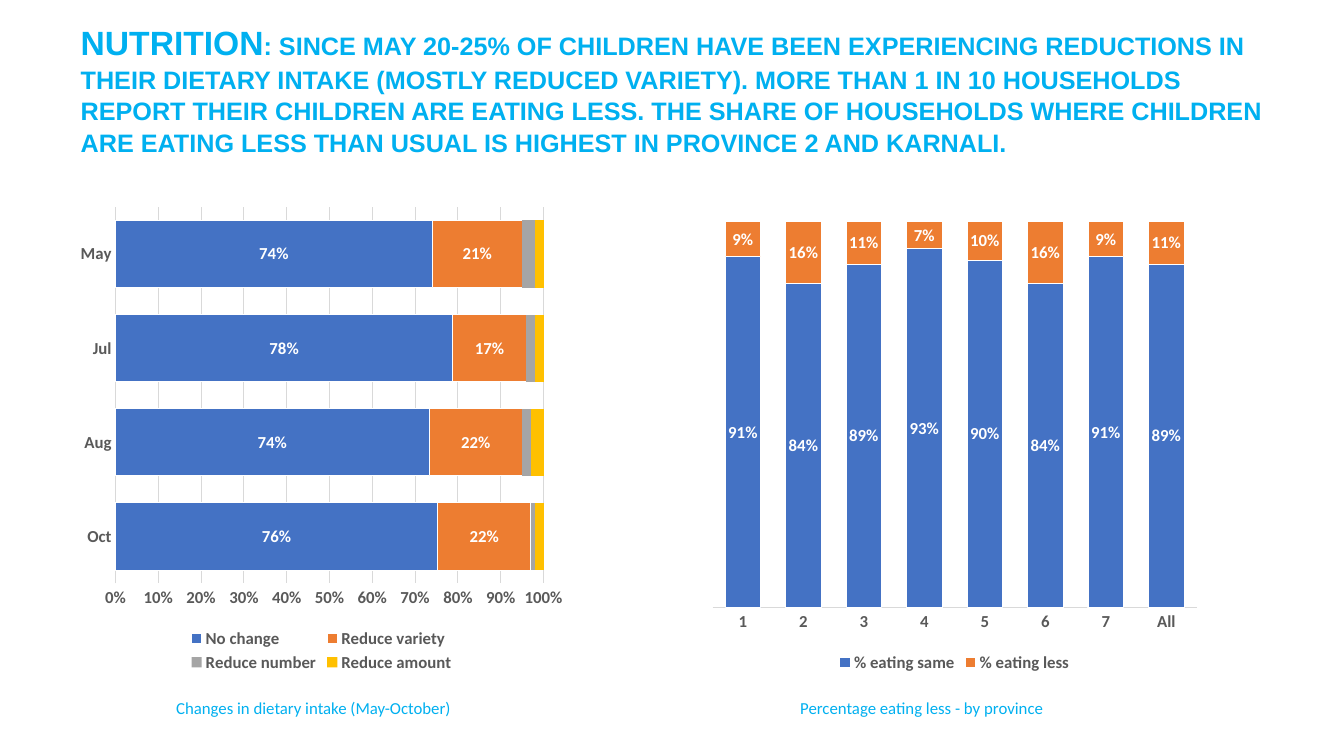
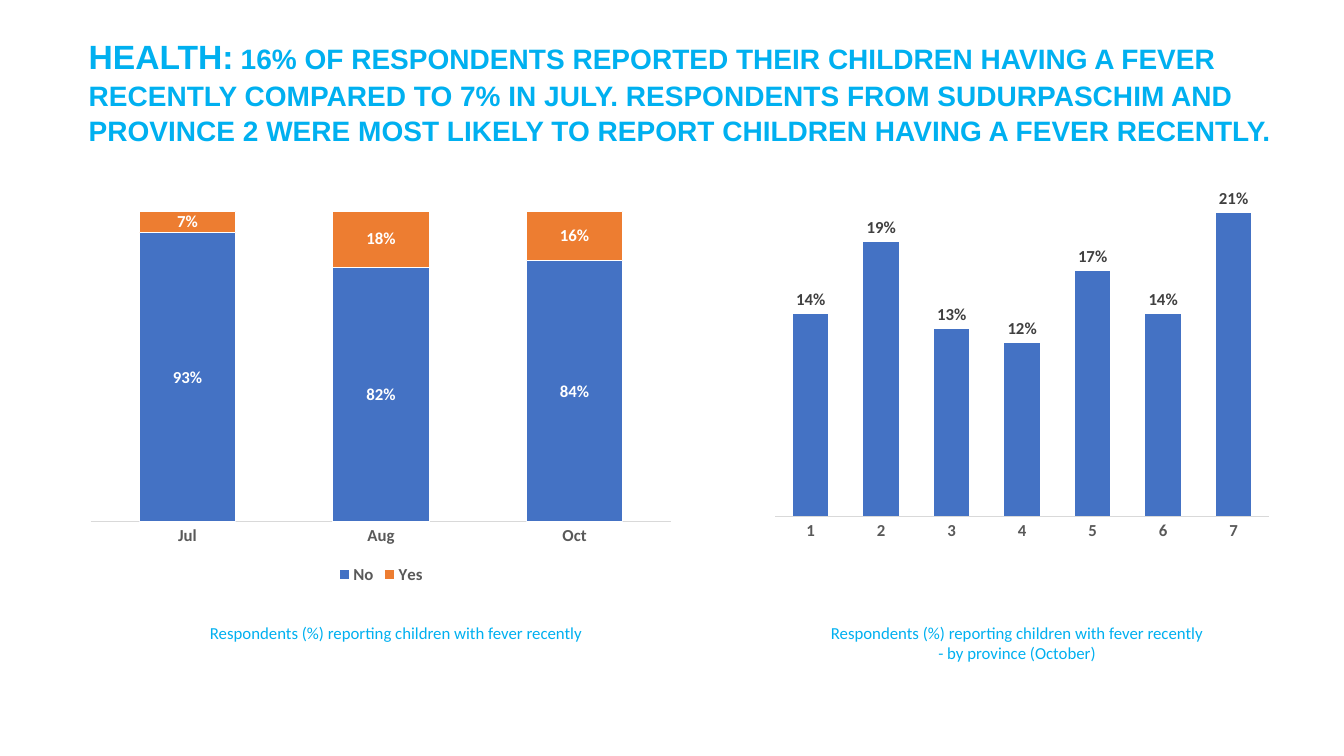
"""Build two slides on child nutrition and health, each with two charts."""
from pptx import Presentation
from pptx.chart.data import CategoryChartData
from pptx.dml.color import RGBColor
from pptx.enum.chart import XL_CHART_TYPE, XL_LABEL_POSITION, XL_LEGEND_POSITION, XL_TICK_MARK
from pptx.enum.text import MSO_ANCHOR, MSO_AUTO_SIZE, PP_ALIGN
from pptx.util import Inches, Pt

BAR = XL_CHART_TYPE.BAR_STACKED_100
STACK = XL_CHART_TYPE.COLUMN_STACKED_100
COLUMN = XL_CHART_TYPE.COLUMN_CLUSTERED
MIDDLE = XL_LABEL_POSITION.CENTER
ABOVE = XL_LABEL_POSITION.OUTSIDE_END
BOTTOM = XL_LEGEND_POSITION.BOTTOM
NO_TICK = XL_TICK_MARK.NONE
TOP = MSO_ANCHOR.TOP
GROW = MSO_AUTO_SIZE.SHAPE_TO_FIT_TEXT
LEFT, CENTER = PP_ALIGN.LEFT, PP_ALIGN.CENTER

SKY = RGBColor(0x00, 0xB0, 0xF0)
WHITE = RGBColor(0xFF, 0xFF, 0xFF)
RULE = RGBColor(0xD9, 0xD9, 0xD9)
GREY = RGBColor(0x59, 0x59, 0x59)
DARK = RGBColor(0x40, 0x40, 0x40)
FILLS = [
    RGBColor(0x44, 0x72, 0xC4),
    RGBColor(0xED, 0x7D, 0x31),
    RGBColor(0xA5, 0xA5, 0xA5),
    RGBColor(0xFF, 0xC0, 0x00),
]
PERCENT = "0%"
WIDE, HIGH = Inches(13.33), Inches(7.5)

SLIDES = [
    {
        "title": (5.25, 2, 91.15, 18.8),
        "runs": [
            ("NUTRITION", 24),
            (": SINCE MAY 20-25% OF CHILDREN HAVE BEEN EXPERIENCING REDUCTIONS IN "
             "THEIR DIETARY INTAKE (MOSTLY REDUCED VARIETY). MORE THAN 1 IN 10 HOUSEHOLDS "
             "REPORT THEIR CHILDREN ARE EATING LESS. THE SHARE OF HOUSEHOLDS WHERE CHILDREN "
             "ARE EATING LESS THAN USUAL IS HIGHEST IN PROVINCE 2 AND KARNALI.", 18),
        ],
        "notes": [
            ((6.08, 91.6, 34.5, 4), CENTER, ["Changes in dietary intake (May-October)"]),
            ((58.8, 91.6, 24.45, 4), LEFT, ["Percentage eating less - by province"]),
        ],
        "charts": [
            (BAR, (5.25, 26.13, 37.35, 63.33), 40, ["Oct", "Aug", "Jul", "May"], {
                "No change": [0.76, 0.74, 0.78, 0.74],
                "Reduce variety": [0.22, 0.22, 0.17, 0.21],
                "Reduce number": [0.01, 0.02, 0.02, 0.03],
                "Reduce amount": [0.02, 0.03, 0.02, 0.02],
            }),
            (STACK, (52.28, 28.13, 37.5, 61.33), 70, [*"1234567", "All"], {
                "% eating same": [0.91, 0.84, 0.89, 0.93, 0.9, 0.84, 0.91, 0.89],
                "% eating less": [0.09, 0.16, 0.11, 0.07, 0.1, 0.16, 0.09, 0.11],
            }),
        ],
    },
    {
        "title": (5.85, 3.87, 89.95, 20.13),
        "runs": [
            ("HEALTH:", 24),
            (" ", 18),
            ("16% OF RESPONDENTS REPORTED THEIR CHILDREN HAVING A FEVER "
             "RECENTLY COMPARED TO 7% IN JULY. RESPONDENTS FROM SUDURPASCHIM "
             "AND PROVINCE 2 WERE MOST LIKELY TO REPORT CHILDREN HAVING A FEVER "
             "RECENTLY.", 20),
        ],
        "notes": [
            ((8.93, 81.73, 41.1, 4), CENTER,
             ["Respondents (%) reporting children with fever recently"]),
            ((57.9, 81.73, 35.55, 6.67), CENTER,
             ["Respondents (%) reporting children with fever recently",
              "- by province (October)"]),
        ],
        "charts": [
            (STACK, (5.85, 26.93, 45, 50.93), 100, ["Jul", "Aug", "Oct"], {
                "No": [0.93, 0.82, 0.84],
                "Yes": [0.07, 0.18, 0.16],
            }),
            (COLUMN, (56.93, 19.47, 38.25, 53.07), 99, [*"1234567"], {
                "Series 1": [0.14, 0.19, 0.13, 0.12, 0.17, 0.14, 0.21],
            }),
        ],
    },
]


def place(left, top, width, height):
    """Turn percentages of the slide into lengths."""
    return [int(part * full / 100) for part, full in
            ((left, WIDE), (top, HIGH), (width, WIDE), (height, HIGH))]


def write(frame, lines, face="Calibri", bold=False, align=LEFT, space=1.0):
    """Fill a frame with lines, each a list of (text, size) runs."""
    frame.word_wrap = True
    frame.auto_size = GROW
    frame.vertical_anchor = TOP
    for i, runs in enumerate(lines):
        para = frame.add_paragraph() if i else frame.paragraphs[0]
        para.alignment = align
        para.line_spacing = space
        for text, size in runs:
            run = para.add_run()
            run.text = text
            run.font.name, run.font.size, run.font.bold = face, Pt(size), bold
            run.font.color.rgb = SKY


deck = Presentation()
deck.slide_width, deck.slide_height = WIDE, HIGH

for page in SLIDES:
    slide = deck.slides.add_slide(deck.slide_layouts[5])
    title = slide.shapes.title
    title.left, title.top, title.width, title.height = place(*page["title"])
    write(title.text_frame, [page["runs"]], face="Arial", bold=True, space=1.05)

    for box, align, lines in page["notes"]:
        note = slide.shapes.add_textbox(*place(*box))
        write(note.text_frame, [[(line, 12)] for line in lines], align=align)

    for kind, box, gap, cats, table in page["charts"]:
        data = CategoryChartData(number_format=PERCENT)
        data.categories = cats
        for name, vals in table.items():
            data.add_series(name, vals)
        chart = slide.shapes.add_chart(kind, *place(*box), data).chart
        chart.has_title = False
        chart.has_legend = kind != COLUMN
        fonts = [(chart.font, GREY), (chart.category_axis.tick_labels.font, GREY)]
        if chart.has_legend:
            chart.legend.position = BOTTOM
            chart.legend.include_in_layout = False
            fonts.append((chart.legend.font, GREY))

        base, scale = chart.category_axis, chart.value_axis
        for axis in (base, scale):
            axis.major_tick_mark = axis.minor_tick_mark = NO_TICK
        base.format.line.color.rgb = RULE
        base.format.line.width = Pt(0.75)
        scale.tick_labels.number_format = PERCENT
        scale.tick_labels.number_format_is_linked = False
        scale.has_major_gridlines = scale.visible = kind == BAR
        if kind == BAR:
            scale.format.line.fill.background()
            scale.major_gridlines.format.line.color.rgb = RULE
            scale.major_gridlines.format.line.width = Pt(0.75)
            fonts.append((scale.tick_labels.font, GREY))

        plot = chart.plots[0]
        plot.gap_width = gap
        plot.overlap = -27 if kind == COLUMN else 100
        plot.vary_by_categories = False
        for i, (bars, fill) in enumerate(zip(plot.series, FILLS)):
            bars.format.fill.solid()
            bars.format.fill.fore_color.rgb = fill
            bars.invert_if_negative = False
            if i > 1:
                continue
            if kind != COLUMN:
                bars.format.line.color.rgb = WHITE
                bars.format.line.width = Pt(0.75)
            labels = bars.data_labels
            labels.show_value = True
            labels.number_format = PERCENT
            labels.number_format_is_linked = False
            labels.position = ABOVE if kind == COLUMN else MIDDLE
            fonts.append((labels.font, DARK if kind == COLUMN else WHITE))

        for font, color in fonts:
            font.name, font.size, font.bold = "Calibri", Pt(12), True
            font.color.rgb = color

deck.save("out.pptx")
